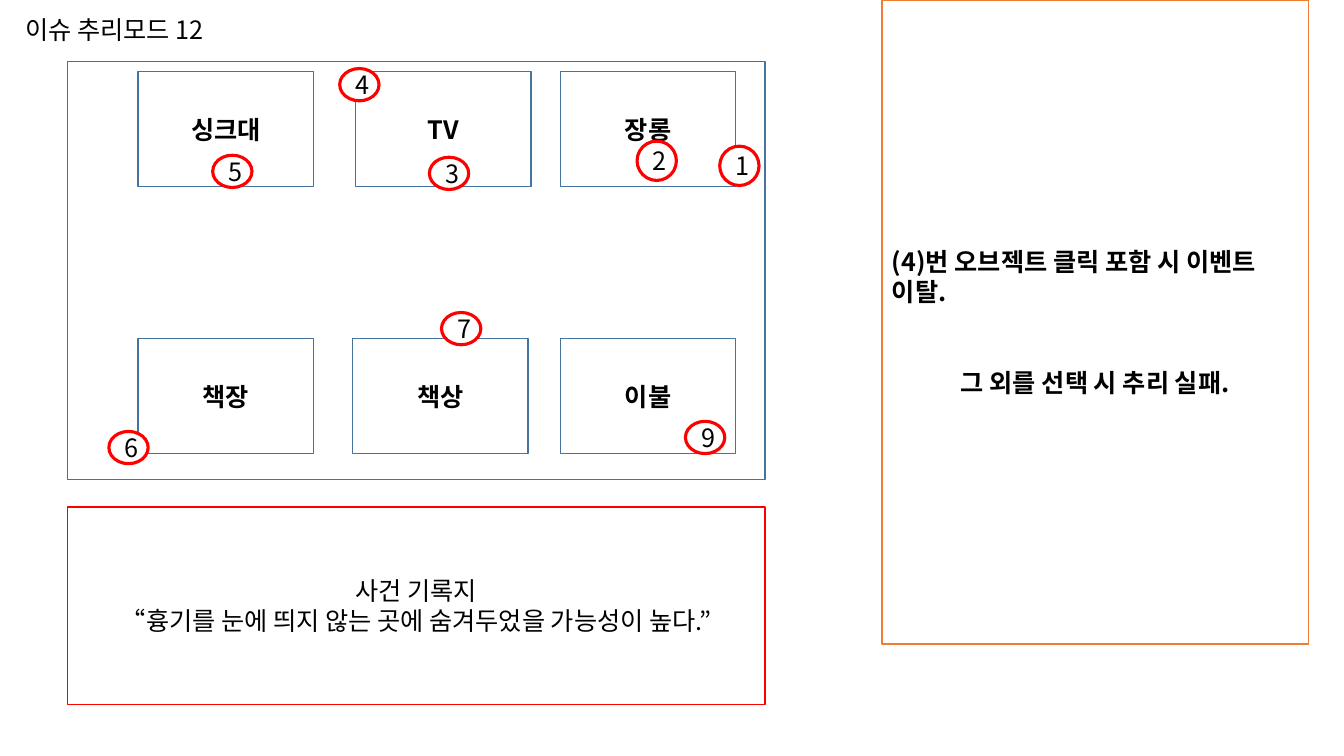
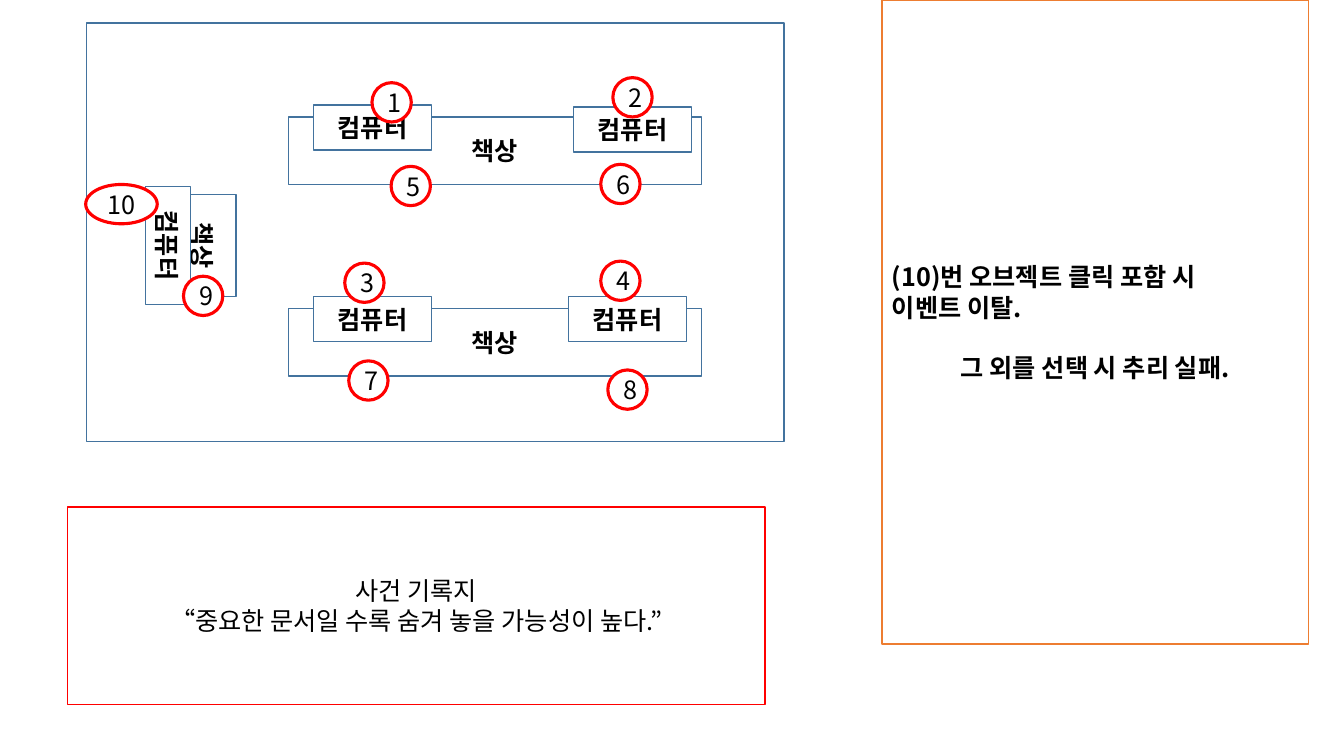
"""Two room plans with numbered clues, a rule panel and a case record."""
from dataclasses import dataclass, replace
from typing import Any

from lxml import etree
from pptx import Presentation
from pptx.dml.color import RGBColor
from pptx.enum import shapes, text
from pptx.oxml import ns
from pptx.util import Pt

FONT = "Noto Sans CJK KR"
SIZE = 18
PITCH = 21.6
WHITE = RGBColor(0xFF, 0xFF, 0xFF)
BLACK = RGBColor(0, 0, 0)
BLUE = RGBColor(0x43, 0x73, 0x9E)
RED = RGBColor(0xFF, 0, 0)
ORANGE = RGBColor(0xED, 0x7D, 0x31)
RECT = shapes.MSO_SHAPE.RECTANGLE
OVAL = shapes.MSO_SHAPE.OVAL
LEFT = text.PP_ALIGN.LEFT
MID = text.PP_ALIGN.CENTER


@dataclass(frozen=True)
class Box:
    left: float
    top: float
    width: float
    height: float
    words: str = ""
    bold: bool = True
    edge: RGBColor = BLUE
    line: float = 1
    form: Any = RECT
    turn: float = 0


@dataclass(frozen=True)
class Scene:
    room: Box
    items: list[Box]
    marks: list[Box]
    rule: str
    gap: int
    clue: str
    title: str = ""


def style(frame: Any, words: str, bold: bool) -> None:
    frame.text = words
    frame.word_wrap = True
    for para in frame.paragraphs:
        for run in para.runs:
            font = run.font
            font.name, font.size, font.bold = FONT, Pt(SIZE), bold
            font.color.rgb = BLACK
            east = etree.SubElement(font._element, ns.qn("a:ea"))
            east.set("typeface", FONT)


def draw(slide: Any, box: Box) -> Any:
    shape = slide.shapes.add_shape(
        box.form, Pt(box.left), Pt(box.top), Pt(box.width), Pt(box.height))
    shape.shadow.inherit = False
    shape.fill.solid()
    shape.fill.fore_color.rgb = WHITE
    shape.line.color.rgb = box.edge
    shape.line.width = Pt(box.line)
    shape.rotation = box.turn
    frame = shape.text_frame
    frame.vertical_anchor = text.MSO_ANCHOR.MIDDLE
    if box.words:
        style(frame, box.words, box.bold)
    paras = frame.paragraphs
    for para in paras:
        para.alignment = MID
        if len(paras) > 1:
            para.line_spacing = Pt(PITCH)
    return shape


def panel(slide: Any, rule: str, gap: int) -> None:
    words = rule + "\n그 외를 선택 시 추리 실패."
    shape = draw(slide, Box(630, 0, 304.56, 460.08, words, edge=ORANGE))
    *head, last = shape.text_frame.paragraphs
    for para in head:
        para.alignment = LEFT
    last.space_before = Pt(gap * PITCH)


def record(slide: Any, clue: str) -> None:
    words = f"사건 기록지\n“{clue}”"
    draw(slide, Box(48.24, 362.16, 498.24, 141.12, words, False, RED))


def title(slide: Any, words: str) -> None:
    area = slide.shapes.add_textbox(Pt(10.8), Pt(6.48), Pt(232.56), Pt(28.8))
    style(area.text_frame, words, False)


def room(left: float, top: float) -> Box:
    return Box(left, top, 498.24, 298.8)


def mark(num: int, left: float, top: float, high: float = 28.08,
         wide: float = 28.08) -> Box:
    return Box(left, top, wide, high, str(num), False, RED, 2.25, OVAL)


def build(deck: Any, scene: Scene) -> None:
    slide = deck.slides.add_slide(deck.slide_layouts[6])
    draw(slide, scene.room)
    panel(slide, scene.rule, scene.gap)
    if scene.title:
        title(slide, scene.title)
    record(slide, scene.clue)
    for box in scene.items + scene.marks:
        draw(slide, box)


UPPER, LOWER = 51.12, 241.92
GOODS = [
    Box(left, top, 125.28, 82.08, name)
    for name, left, top in (
        ("장롱", 400.32, UPPER), ("TV", 254.16, UPPER), ("싱크대", 98.64, UPPER),
        ("이불", 400.32, LOWER), ("책상", 252, LOWER), ("책장", 98.64, LOWER))
]
FLAT = 23.04
HOME = Scene(
    room(48.24, 43.92),
    GOODS,
    [mark(1, 514.08, 104.4), mark(2, 455.04, 100.8),
     mark(3, 306.72, 112.32, FLAT), mark(4, 242.64, 48.96, FLAT),
     mark(5, 151.92, 110.88, FLAT), mark(6, 77.76, 308.16, FLAT),
     mark(7, 315.36, 223.2, FLAT), mark(9, 489.6, 300.96, FLAT)],
    "(4)번 오브젝트 클릭 포함 시 이벤트 이탈.", 2,
    "흉기를 눈에 띄지 않는 곳에 숨겨두었을 가능성이 높다.",
    "이슈 추리모드 12")

DESK = Box(205.92, 220.32, 295.2, 48.24, "책상")
UNIT = Box(223.92, 74.88, 84.24, 32.4, "컴퓨터")
SPOTS = ((223.92, 74.88), (409.68, 76.32), (223.92, 211.68), (406.08, 211.68))
OFFICE = Scene(
    room(61.92, 16.56),
    [DESK, replace(DESK, top=83.52),
     *(replace(UNIT, left=left, top=top) for left, top in SPOTS),
     replace(DESK, left=108, top=151.2, width=72.72, turn=90),
     replace(UNIT, left=77.76, top=159.12, turn=90)],
    [mark(1, 265.68, 59.04), mark(2, 437.76, 55.44),
     mark(3, 246.24, 187.92), mark(4, 429.12, 186.48),
     mark(5, 279.36, 118.8), mark(6, 429.12, 117.36),
     mark(7, 249.12, 257.76), mark(8, 434.16, 264.24),
     mark(9, 131.04, 197.28), mark(10, 61.2, 131.76, wide=51.12)],
    "(10)번 오브젝트 클릭 포함 시\n이벤트 이탈.", 1,
    "중요한 문서일 수록 숨겨 놓을 가능성이 높다.")


def main() -> None:
    deck = Presentation()
    deck.slide_width, deck.slide_height = Pt(960), Pt(540)
    for scene in (HOME, OFFICE):
        build(deck, scene)
    deck.save("out.pptx")


main()
